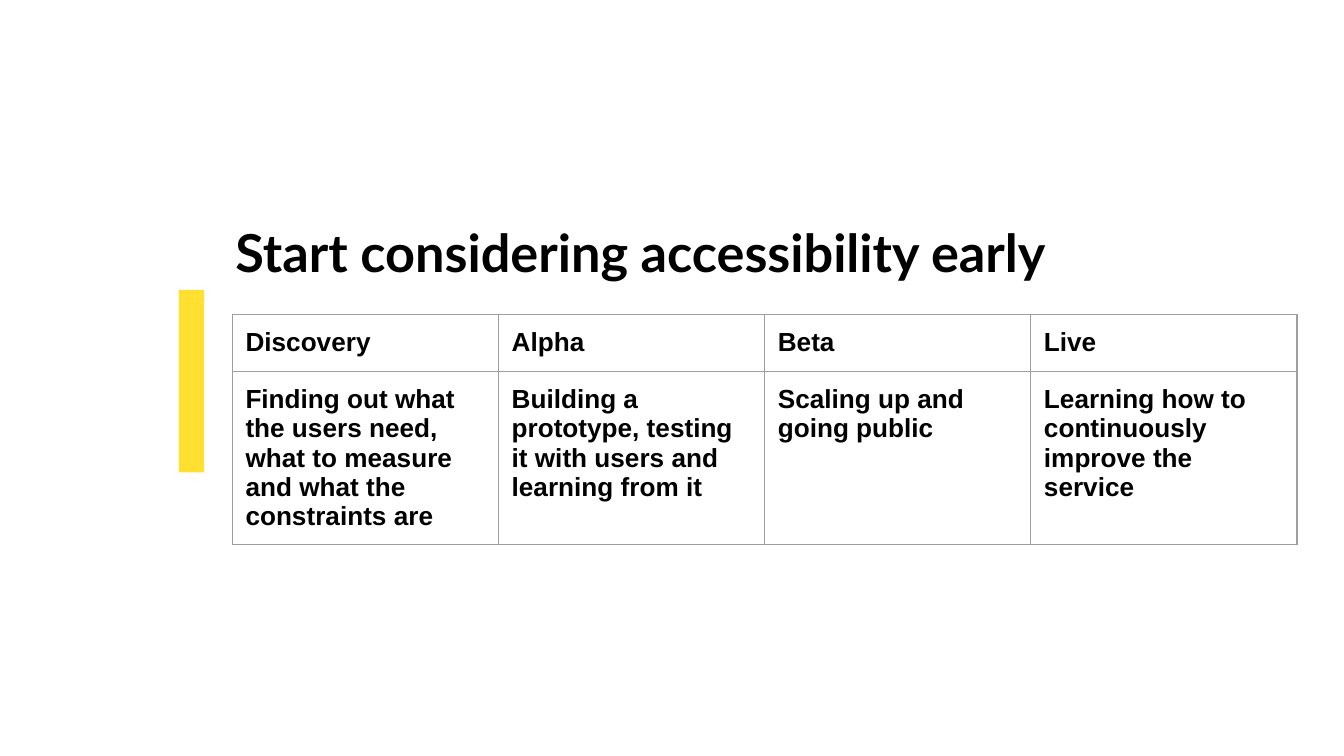
from lxml.etree import SubElement
from pptx import Presentation
from pptx.dml.color import RGBColor
from pptx.enum.shapes import MSO_SHAPE as Shape
from pptx.enum.text import MSO_ANCHOR as Anchor, PP_ALIGN as Align
from pptx.oxml.ns import qn
from pptx.util import Cm, Pt

PHASES = {
    "Discovery": "Finding out what the users need, what to measure and what the constraints are",
    "Alpha": "Building a prototype, testing it with users and learning from it",
    "Beta": "Scaling up and going public",
    "Live": "Learning how to continuously improve the service",
}


def color(value):
    return RGBColor.from_string(value)


class SlideBuilder:
    TEXT = "000000"
    ACCENT = "FFE030"
    BORDER = "9E9E9E"
    TITLE_FONT = "Lato"
    BODY_FONT = "Arial"
    INSET = Cm(0.25)

    def __init__(self, slide):
        self.slide = slide

    def format_text(self, text_frame, font_name, size):
        for paragraph in text_frame.paragraphs:
            paragraph.alignment = Align.LEFT
            for run in paragraph.runs:
                run.font.name = font_name
                run.font.size = Pt(size)
                run.font.bold = True
                run.font.color.rgb = color(self.TEXT)

    def set_insets(self, target):
        target.margin_left = target.margin_right = self.INSET
        target.margin_top = target.margin_bottom = self.INSET
        target.vertical_anchor = Anchor.TOP

    def accent_bar(self, left, top, width, height):
        bar = self.slide.shapes.add_shape(
            Shape.RECTANGLE, Cm(left), Cm(top), Cm(width), Cm(height))
        bar.shadow.inherit = False
        bar.fill.solid()
        bar.fill.fore_color.rgb = color(self.ACCENT)
        bar.line.fill.background()

    def title(self, text, left, top, width, height):
        title = self.slide.shapes.title
        title.left, title.top = Cm(left), Cm(top)
        title.width, title.height = Cm(width), Cm(height)
        text_frame = title.text_frame
        text_frame.text = text
        text_frame.word_wrap = True
        self.set_insets(text_frame)
        self.format_text(text_frame, self.TITLE_FONT, 28)

    def border_cell(self, cell):
        properties = cell._tc.get_or_add_tcPr()
        for index, side in enumerate(("lnL", "lnR", "lnT", "lnB")):
            line = properties.makeelement(qn(f"a:{side}"), {"w": str(Pt(0.75))})
            fill = SubElement(line, qn("a:solidFill"))
            SubElement(fill, qn("a:srgbClr"), val=self.BORDER)
            # Borders must come before the cell fill
            properties.insert(index, line)

    def table(self, rows, left, top, column_width, row_height):
        column_count = len(rows[0])
        table = self.slide.shapes.add_table(
            len(rows), column_count, Cm(left), Cm(top),
            Cm(column_width * column_count), Cm(row_height * len(rows))).table
        table.first_row = table.horz_banding = False
        for column in table.columns:
            column.width = Cm(column_width)
        for row, texts in zip(table.rows, rows):
            row.height = Cm(row_height)
            for cell, text in zip(row.cells, texts):
                cell.text_frame.text = text
                cell.fill.background()
                self.set_insets(cell)
                self.format_text(cell.text_frame, self.BODY_FONT, 14)
                self.border_cell(cell)


def main():
    presentation = Presentation()
    presentation.slide_width, presentation.slide_height = Cm(25.4), Cm(14.29)
    title_only = presentation.slide_layouts[5]
    builder = SlideBuilder(presentation.slides.add_slide(title_only))
    builder.accent_bar(3.38, 5.48, 0.48, 3.45)
    builder.title("Start considering accessibility early", 4.2, 3.92, 18.42, 3.96)
    builder.table([list(PHASES), list(PHASES.values())], 4.39, 5.95, 5.03, 1.07)
    presentation.save("out.pptx")


if __name__ == "__main__":
    main()
